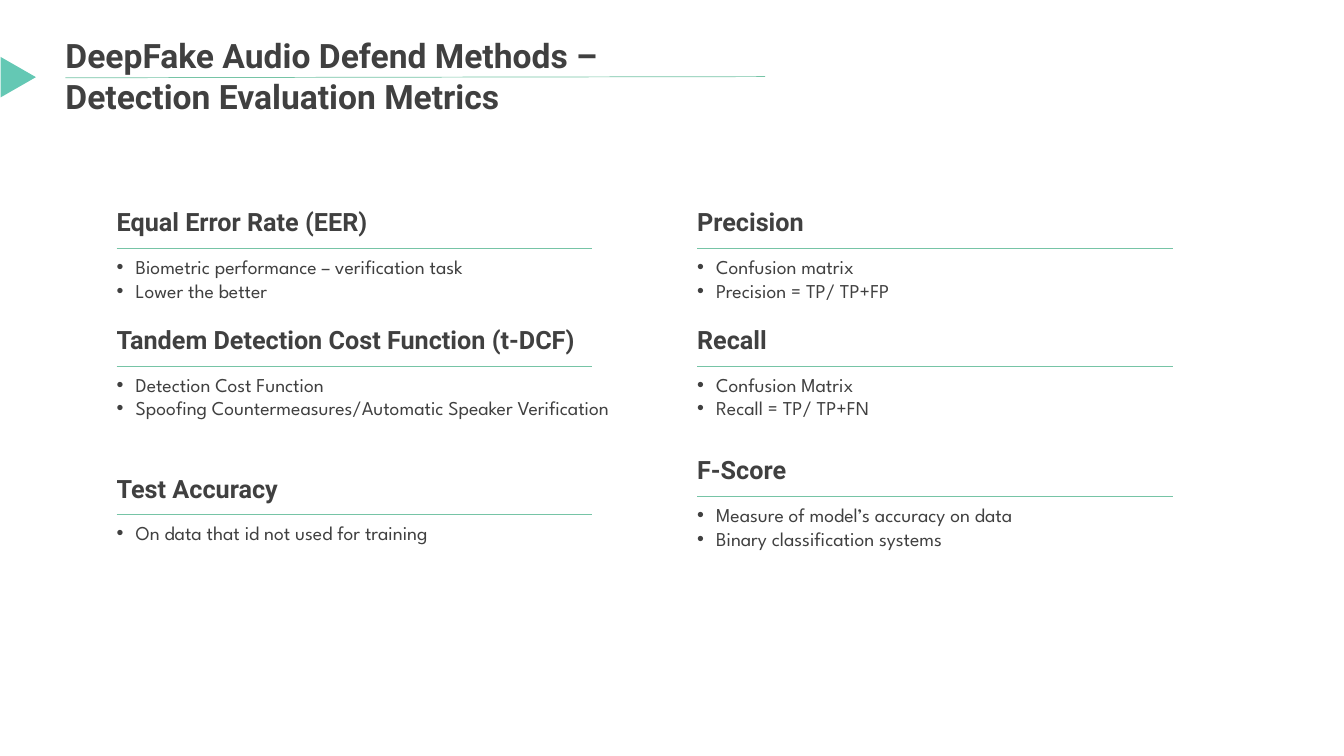
import pptx
import pptx.dml.color
import pptx.enum.shapes
import pptx.enum.text
import pptx.util
from lxml import etree
from pptx.oxml.ns import qn
from pptx.util import Cm, Pt

TITLE = "DeepFake Audio Defend Methods – Detection Evaluation Metrics"

# Each column: (top in cm, height in cm, heading, bullets)
COLUMNS = [
    [
        (5.08, 2.64, "Equal Error Rate (EER)",
         ["Biometric performance – verification task", "Lower the better"]),
        (8.05, 3.25, "Tandem Detection Cost Function (t-DCF)",
         ["Detection Cost Function",
          "Spoofing Countermeasures/Automatic Speaker Verification"]),
        (11.79, 2.06, "Test Accuracy", ["On data that id not used for training"]),
    ],
    [
        (5.08, 2.64, "Precision", ["Confusion matrix", "Precision = TP/ TP+FP"]),
        (8.05, 3.25, "Recall", ["Confusion Matrix", "Recall = TP/ TP+FN"]),
        (11.33, 2.64, "F-Score",
         ["Measure of model’s accuracy on data", "Binary classification systems"]),
    ],
]


class Theme:
    text = pptx.dml.color.RGBColor.from_string("404040")
    rule = pptx.dml.color.RGBColor.from_string("76C4A6")
    marker = pptx.dml.color.RGBColor.from_string("64C8B4")
    title = {"name": "Roboto", "size": Pt(24), "bold": True}
    heading = {"name": "Roboto", "size": Pt(18), "bold": True}
    bullet = {"name": "League Spartan", "size": Pt(14), "bold": False}
    rule_width = Pt(0.5)


COLUMN_LEFT, COLUMN_STEP, COLUMN_WIDTH = 2.69, 14.63, 13.87
RULE_INSET, RULE_DROP, RULE_LENGTH = 0.25, 1.17, 11.98
BULLET_INDENT = Cm(0.48)
HEADING_GAP = Pt(13)


def apply_format(target, values):
    for name, value in values.items():
        setattr(target, name, value)


def write(paragraph, text, font_format):
    run = paragraph.add_run()
    run.text = text
    apply_format(run.font, font_format)
    run.font.color.rgb = Theme.text


def add_rule(slide, left, top, right, bottom):
    rule = slide.shapes.add_connector(
        pptx.enum.shapes.MSO_CONNECTOR.STRAIGHT,
        Cm(left), Cm(top), Cm(right), Cm(bottom))
    rule.line.color.rgb = Theme.rule
    rule.line.width = Theme.rule_width
    etree.SubElement(rule._element.spPr, qn("a:effectLst"))


def add_title(slide):
    title = slide.shapes.title
    apply_format(title, {"left": Cm(1.65), "top": Cm(0.89),
                         "width": Cm(16.76), "height": Cm(2.06)})
    apply_format(title.text_frame, {
        "margin_left": 0, "margin_top": 0, "margin_right": 0, "margin_bottom": 0,
        "word_wrap": True,
        "vertical_anchor": pptx.enum.text.MSO_ANCHOR.TOP,
        "auto_size": pptx.enum.text.MSO_AUTO_SIZE.SHAPE_TO_FIT_TEXT})
    paragraph = title.text_frame.paragraphs[0]
    paragraph.alignment = pptx.enum.text.PP_ALIGN.LEFT
    write(paragraph, TITLE, Theme.title)


def add_marker(slide):
    marker = slide.shapes.add_shape(
        pptx.enum.shapes.MSO_SHAPE.ISOSCELES_TRIANGLE,
        Cm(-0.05), Cm(1.5), Cm(1.02), Cm(0.89))
    marker.rotation = 90
    marker.shadow.inherit = False
    marker.fill.solid()
    marker.fill.fore_color.rgb = Theme.marker
    marker.line.fill.background()


def add_metric(slide, left, top, height, heading, bullets):
    box = slide.shapes.add_textbox(Cm(left), Cm(top), Cm(COLUMN_WIDTH), Cm(height))
    frame = box.text_frame
    frame.word_wrap = True
    frame.auto_size = pptx.enum.text.MSO_AUTO_SIZE.SHAPE_TO_FIT_TEXT
    write(frame.paragraphs[0], heading, Theme.heading)
    for index, bullet in enumerate(bullets):
        paragraph = frame.add_paragraph()
        if index == 0:
            paragraph.space_before = HEADING_GAP
        properties = paragraph._p.get_or_add_pPr()
        properties.set("marL", str(BULLET_INDENT))
        properties.set("indent", str(-BULLET_INDENT))
        etree.SubElement(properties, qn("a:buFont"), typeface="Arial")
        etree.SubElement(properties, qn("a:buChar"), char="•")
        write(paragraph, bullet, Theme.bullet)
    rule_left, rule_top = left + RULE_INSET, top + RULE_DROP
    add_rule(slide, rule_left, rule_top, rule_left + RULE_LENGTH, rule_top)


def main():
    presentation = pptx.Presentation()
    presentation.slide_width = Cm(33.87)
    presentation.slide_height = Cm(19.05)
    slide = presentation.slides.add_slide(
        presentation.slide_layouts.get_by_name("Title Only"))
    add_rule(slide, 1.65, 1.96, 19.28, 1.93)
    add_title(slide)
    add_marker(slide)
    for column, metrics in enumerate(COLUMNS):
        for metric in metrics:
            add_metric(slide, COLUMN_LEFT + column * COLUMN_STEP, *metric)
    presentation.save("out.pptx")


if __name__ == "__main__":
    main()
